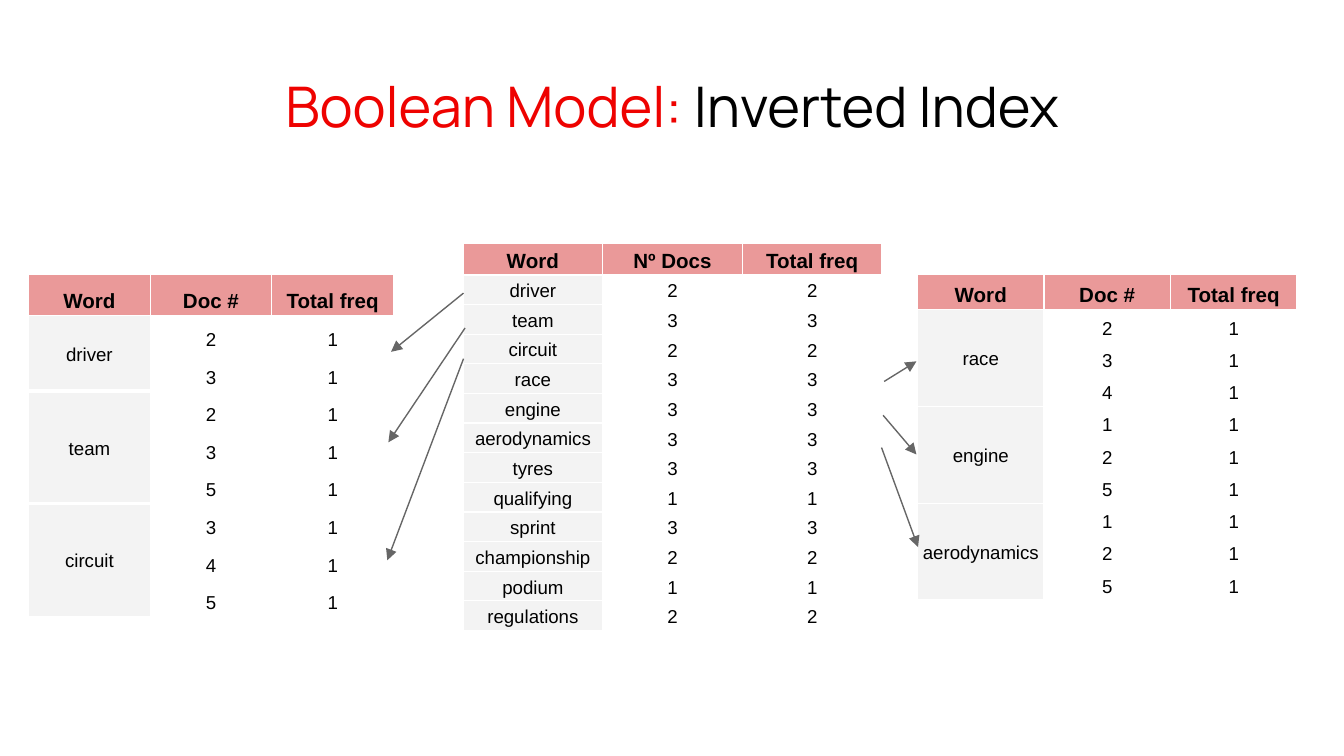
from lxml import etree
from pptx import Presentation
from pptx.dml.color import RGBColor
from pptx.enum import shapes, text
from pptx.oxml import ns
from pptx.util import Cm, Pt

COLORS = {"red": "EE0200", "black": "000000", "header": "EA9999",
          "word": "F3F3F3", "border": "FFFFFF", "arrow": "666666"}


def rgb(name):
    return RGBColor.from_string(COLORS[name])


def set_borders(cell, top, bottom):
    """Give the cell white borders; top and bottom widths are in points."""
    tc_pr = cell._tc.get_or_add_tcPr()
    widths = {"lnL": 0.75, "lnR": 0.75, "lnT": top, "lnB": bottom}
    for i, (tag, width) in enumerate(widths.items()):
        ln = etree.Element(ns.qn("a:" + tag), w=str(Pt(width)))
        fill = etree.SubElement(ln, ns.qn("a:solidFill"))
        etree.SubElement(fill, ns.qn("a:srgbClr"), val=COLORS["border"])
        tc_pr.insert(i, ln)


prs = Presentation()
prs.slide_width, prs.slide_height = Cm(25.4), Cm(14.29)
s = prs.slides.add_slide(prs.slide_layouts[5])

# Title
sp = s.shapes.title
sp.left, sp.top, sp.width, sp.height = Cm(0.87), Cm(1.24), Cm(23.67), Cm(1.6)
tf = sp.text_frame
tf.word_wrap = True
tf.auto_size = text.MSO_AUTO_SIZE.NONE
tf.vertical_anchor = text.MSO_ANCHOR.TOP
tf.margin_left = tf.margin_right = tf.margin_top = tf.margin_bottom = Cm(0.25)
p = tf.paragraphs[0]
p.alignment = text.PP_ALIGN.CENTER
p.line_spacing = 0.9
for words, color in (("Boolean Model: ", "red"), ("Inverted Index", "black")):
    r = p.add_run()
    r.text = words
    r.font.name, r.font.size = "Manrope", Pt(30)
    r.font.color.rgb = rgb(color)

# Tables: left, top, column width, header height, row height, group border,
# second heading, and for each word its (number, frequency) rows
index = [("driver", 2), ("team", 3), ("circuit", 2), ("race", 3),
         ("engine", 3), ("aerodynamics", 3), ("tyres", 3), ("qualifying", 1),
         ("sprint", 3), ("championship", 2), ("podium", 1), ("regulations", 2)]
left_postings = {"driver": [2, 3], "team": [2, 3, 5], "circuit": [3, 4, 5]}
right_postings = {"race": [2, 3, 4], "engine": [1, 2, 5],
                  "aerodynamics": [1, 2, 5]}
tables = [
    (8.75, 4.6, 2.64, 0.59, 0.56, 0.75, "Nº Docs",
     {word: [(n, n)] for word, n in index}),
    (0.54, 5.19, 2.3, 0.78, 0.71, 2.25, "Doc #",
     {word: [(doc, 1) for doc in docs] for word, docs in left_postings.items()}),
    (17.34, 5.19, 2.39, 0.66, 0.61, 0.75, "Doc #",
     {word: [(doc, 1) for doc in docs] for word, docs in right_postings.items()}),
]
for left, top, col_w, head_h, row_h, group_line, heading, groups in tables:
    rows = [("Word", heading, "Total freq")]
    starts = []
    for word, entries in groups.items():
        starts.append(len(rows))
        for i, entry in enumerate(entries):
            rows.append((word if i == 0 else "", *entry))
    height = head_h + row_h * (len(rows) - 1)
    table = s.shapes.add_table(len(rows), 3, Cm(left), Cm(top),
                               Cm(3 * col_w), Cm(height)).table
    table.first_row = table.horz_banding = False
    for column in table.columns:
        column.width = Cm(col_w)

    for y, values in enumerate(rows):
        table.rows[y].height = Cm(row_h if y else head_h)
        for x, value in enumerate(values):
            cell = table.cell(y, x)
            cell.margin_left = cell.margin_right = Cm(0.08)
            cell.margin_top = cell.margin_bottom = Cm(0.05)
            grouped = y > 0 and x == 0
            cell.vertical_anchor = (text.MSO_ANCHOR.MIDDLE if grouped
                                    else text.MSO_ANCHOR.BOTTOM)
            p = cell.text_frame.paragraphs[0]
            p.alignment = text.PP_ALIGN.CENTER
            p.line_spacing = 1.15
            r = p.add_run()
            r.text = str(value)
            r.font.name, r.font.size = "Arial", Pt(10 if y else 11)
            r.font.bold = y == 0
            r.font.color.rgb = rgb("black")
            if y == 0 or x == 0:
                cell.fill.solid()
                cell.fill.fore_color.rgb = rgb("word" if y else "header")
            else:
                cell.fill.background()
            # A word's cell reaches down to the next group
            last = y
            if grouped and y in starts:
                last = y + len(groups[value]) - 1
            set_borders(cell, group_line if y in starts[1:] else 0.75,
                        group_line if last + 1 in starts[1:] else 0.75)

    for start, entries in zip(starts, groups.values()):
        if len(entries) > 1:
            table.cell(start, 0).merge(table.cell(start + len(entries) - 1, 0))

# Arrows from the index to the posting lists
arrows = [(8.76, 5.54, 7.39, 6.65), (8.79, 6.2, 7.34, 8.36),
          (8.76, 6.78, 7.32, 10.59), (16.71, 7.21, 17.32, 6.83),
          (16.69, 7.85, 17.32, 8.59), (16.66, 8.46, 17.35, 10.34)]
for ends in arrows:
    sp = s.shapes.add_connector(shapes.MSO_CONNECTOR.STRAIGHT,
                                *[Cm(v) for v in ends])
    sp.line.color.rgb = rgb("arrow")
    sp.line.width = Pt(0.75)
    etree.SubElement(sp.line._get_or_add_ln(), ns.qn("a:tailEnd"),
                     type="triangle", w="med", len="med")
    etree.SubElement(sp._element.spPr, ns.qn("a:effectLst"))

prs.save("out.pptx")
